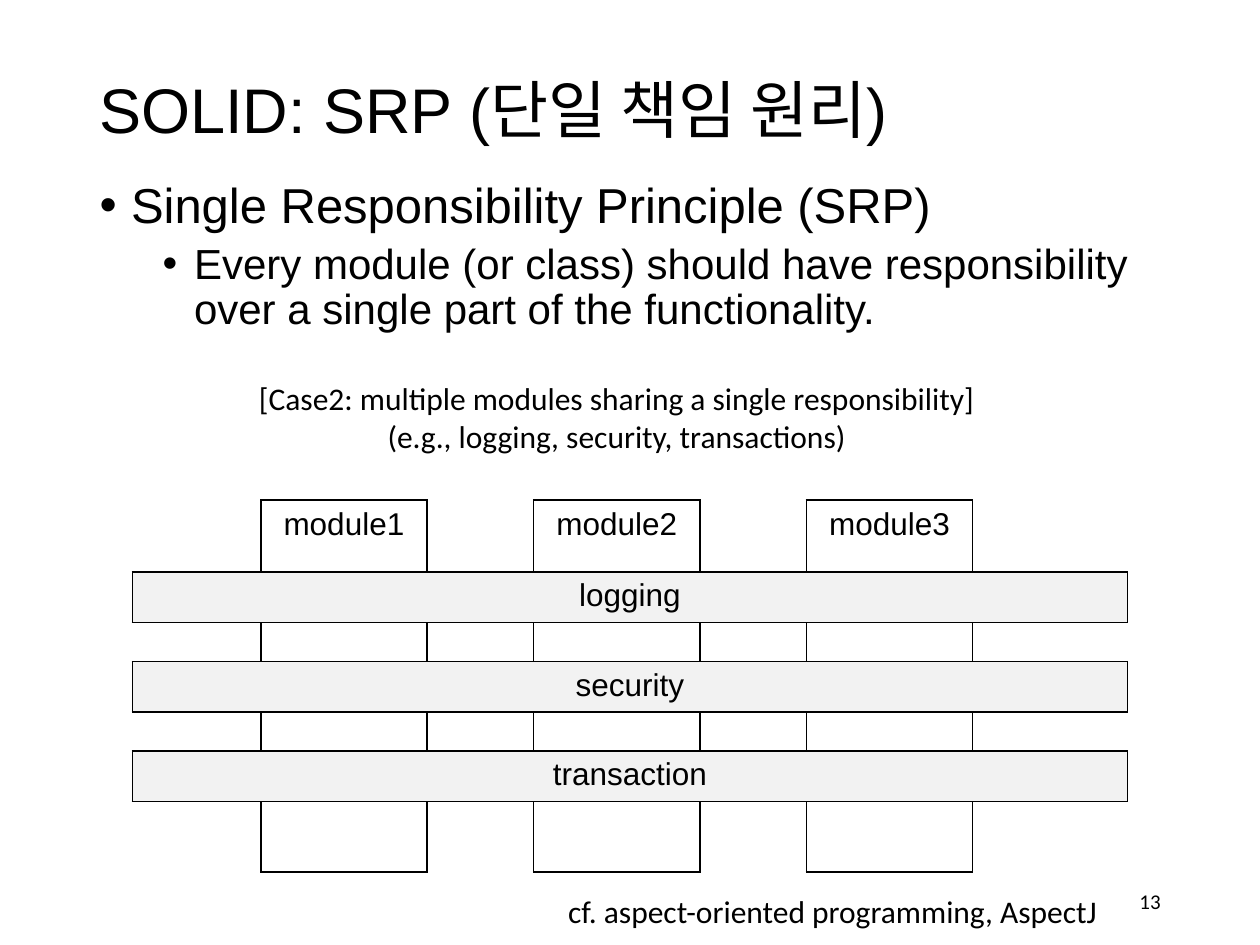
from lxml import etree
from pptx import Presentation
from pptx import util as u
from pptx.dml import color
from pptx.enum import text
from pptx.oxml import ns

Inches, Pt = u.Inches, u.Pt
COLORS = {"ink": "000000", "stripe": "F2F2F2"}
ALIGN = text.PP_ALIGN
ANCHOR = text.MSO_ANCHOR


def rgb(name):
    return color.RGBColor.from_string(COLORS[name])


def place(shape, box):
    shape.left, shape.top, shape.width, shape.height = map(Inches, box)


def style(para, size, font, align=ALIGN.LEFT):
    para.alignment = align
    for span in para.runs:
        span.font.size = Pt(size)
        span.font.name = font
        span.font.color.rgb = rgb("ink")


def add_bullet(para, left):
    props = para._p.get_or_add_pPr()
    props.set("marL", str(Inches(left)))
    props.set("indent", str(Inches(-0.25)))
    tint = etree.SubElement(props, ns.qn("a:buClr"))
    etree.SubElement(tint, ns.qn("a:srgbClr"), val=COLORS["ink"])
    etree.SubElement(props, ns.qn("a:buFont"), typeface="Arial")
    etree.SubElement(props, ns.qn("a:buChar"), char="•")


def add_title(page, box):
    title = page.shapes.title
    place(title, box)
    frame = title.text_frame
    frame.text = "SOLID: SRP (단일 책임 원리)"
    frame.auto_size = text.MSO_AUTO_SIZE.NONE
    frame.vertical_anchor = ANCHOR.MIDDLE
    para = frame.paragraphs[0]
    para.line_spacing = 0.9
    style(para, 36, "Arial")


def add_body(page, box):
    body = page.placeholders[1]
    place(body, box)
    frame = body.text_frame
    frame.auto_size = text.MSO_AUTO_SIZE.NONE
    frame.text = (
        "Single Responsibility Principle (SRP)\n"
        "Every module (or class) should have responsibility "
        "over a single part of the functionality."
    )
    levels = [(28, 0.25, 0), (24, 0.75, 5)]
    for level, (para, (size, left, before)) in enumerate(zip(frame.paragraphs, levels)):
        para.level = level
        para.line_spacing = 0.9
        para.space_before = Pt(before)
        style(para, size, "Arial")
        add_bullet(para, left)


def add_note(page, box, words, size=18, align=ALIGN.LEFT, anchor=ANCHOR.TOP):
    note = page.shapes.add_textbox(*map(Inches, box))
    frame = note.text_frame
    frame.word_wrap = True
    frame.vertical_anchor = anchor
    frame.text = words
    for para in frame.paragraphs:
        style(para, size, "Calibri", align)


def add_cell_box(page, box, label, fill=None):
    """Place a one-cell table with a thin border."""
    table = page.shapes.add_table(1, 1, *map(Inches, box)).table
    table.first_row = table.horz_banding = False
    cell = table.cell(0, 0)
    cell.text = label
    style(cell.text_frame.paragraphs[0], 18, "Arial", ALIGN.CENTER)
    if fill:
        cell.fill.solid()
        cell.fill.fore_color.rgb = rgb(fill)
    else:
        cell.fill.background()
    props = cell._tc.get_or_add_tcPr()
    for place_in_order, side in enumerate(("lnL", "lnR", "lnT", "lnB")):
        line = etree.Element(ns.qn("a:" + side), w=str(Pt(1)))
        paint = etree.SubElement(line, ns.qn("a:solidFill"))
        etree.SubElement(paint, ns.qn("a:srgbClr"), val=COLORS["ink"])
        props.insert(place_in_order, line)


def add_diagram(page, box):
    """Modules as columns, crossed by the concerns they share."""
    left, top, width, height = box
    for i, label in enumerate(("module1", "module2", "module3")):
        add_cell_box(page, (left + 1.02 + i * 2.165, top, 1.32, height), label)
    for i, label in enumerate(("logging", "security", "transaction")):
        add_cell_box(page, (left, top + 0.57 + i * 0.71, width, 0.4), label, "stripe")


def main():
    deck = Presentation()
    deck.slide_width, deck.slide_height = Inches(10), Inches(7.5)
    page = deck.slides.add_slide(deck.slide_layouts[1])

    # Heading and principle
    add_title(page, (0.69, 0.4, 8.62, 0.99))
    add_body(page, (0.69, 1.39, 8.62, 5.51))

    # Slide number
    add_note(page, (7.06, 6.95, 2.25, 0.4), "13", 12, ALIGN.RIGHT, ANCHOR.MIDDLE)

    # Case with its diagram
    add_note(
        page,
        (1.92, 2.96, 5.95, 0.71),
        "[Case2: multiple modules sharing a single responsibility]\n"
        "(e.g., logging, security, transactions)",
        align=ALIGN.CENTER,
    )
    add_diagram(page, (1.05, 3.97, 7.9, 2.95))

    # Reference
    add_note(page, (4.41, 7.03, 4.48, 0.4), "cf. aspect-oriented programming, AspectJ")

    deck.save("out.pptx")


if __name__ == "__main__":
    main()
